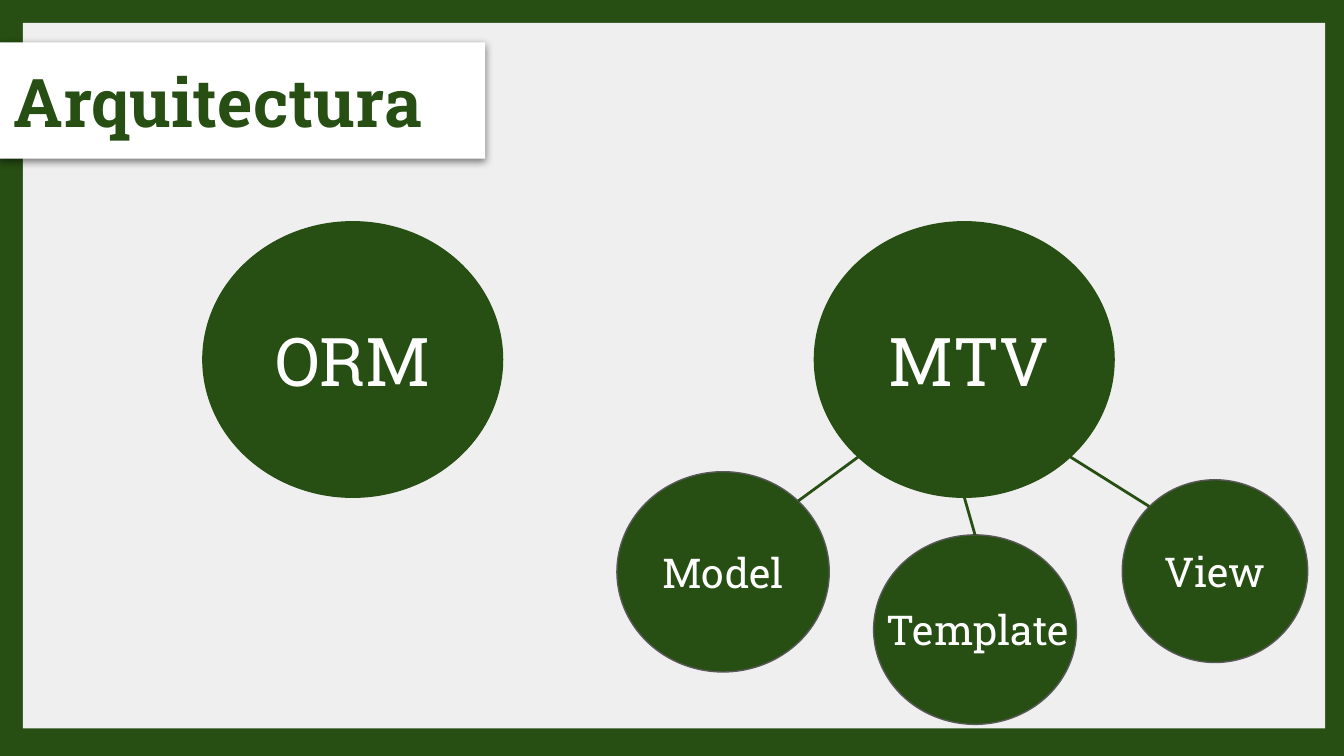
import math
from collections import namedtuple

from lxml import etree
from pptx import Presentation
from pptx import util as u
from pptx.dml.color import RGBColor
from pptx.enum import shapes, text
from pptx.oxml import ns

GREEN = RGBColor(0x27, 0x4E, 0x13)
PALE = RGBColor(0xEF, 0xEF, 0xEF)
WHITE = RGBColor(0xFF, 0xFF, 0xFF)
GREY = RGBColor(0x59, 0x59, 0x59)

SLIDE_WIDTH = u.Inches(10)
SLIDE_HEIGHT = SLIDE_WIDTH * 9 // 16
COLUMN, ROW = SLIDE_WIDTH / 100, SLIDE_HEIGHT / 56.25

Box = namedtuple("Box", "left top width height")

FRAME = dict(word_wrap=True, auto_size=text.MSO_AUTO_SIZE.NONE,
             margin_left=u.Inches(0.1), margin_right=u.Inches(0.1),
             margin_top=u.Inches(0.1), margin_bottom=u.Inches(0.1))
FONT = dict(name="Roboto Slab", bold=False)
CONCEPT = dict(size=u.Pt(36))
PART = dict(size=u.Pt(22))


def apply(target, values):
    for name, value in values.items():
        setattr(target, name, value)


def emu(box):
    return (round(box.left * COLUMN), round(box.top * ROW),
            round(box.width * COLUMN), round(box.height * ROW))


def inside(region, box):
    return Box(region.left + box.left, region.top + box.top, box.width, box.height)


def write(shape, words, font, color=WHITE, align=text.PP_ALIGN.CENTER,
          anchor=text.MSO_ANCHOR.MIDDLE):
    frame = shape.text_frame
    apply(frame, {**FRAME, "vertical_anchor": anchor})
    paragraph = frame.paragraphs[0]
    paragraph.alignment = align
    run = paragraph.add_run()
    run.text = words
    apply(run.font, {**FONT, **font})
    run.font.color.rgb = color


def add_circle(slide, box, outline):
    circle = slide.shapes.add_shape(shapes.MSO_SHAPE.OVAL, *emu(box))
    circle.shadow.inherit = False
    circle.fill.solid()
    circle.fill.fore_color.rgb = GREEN
    circle.line.color.rgb = outline
    circle.line.width = u.Pt(0.75)
    return circle


def rim_point(circle, degrees):
    angle = math.radians(degrees)
    return (round(circle.left + circle.width * (1 + math.cos(angle)) / 2),
            round(circle.top + circle.height * (1 + math.sin(angle)) / 2))


def add_branch(slide, child, child_angle, parent, parent_angle):
    branch = slide.shapes.add_connector(
        shapes.MSO_CONNECTOR.STRAIGHT,
        *rim_point(child, child_angle), *rim_point(parent, parent_angle))
    branch.line.color.rgb = GREEN
    branch.line.width = u.Pt(1.5)
    etree.SubElement(branch._element.spPr, ns.qn("a:effectLst"))


def place_panel(slide, box):
    panel = slide.shapes.add_shape(shapes.MSO_SHAPE.RECTANGLE, *emu(box))
    panel.shadow.inherit = False
    panel.fill.solid()
    panel.fill.fore_color.rgb = PALE
    panel.line.fill.background()
    slide.shapes.title._element.addprevious(panel._element)


def place_title(slide, box):
    title = slide.shapes.title
    apply(title, dict(zip(Box._fields, emu(box))))
    title.fill.solid()
    title.fill.fore_color.rgb = WHITE
    write(title, "Arquitectura", dict(size=u.Pt(36), bold=True), GREEN,
          text.PP_ALIGN.LEFT)
    effects = etree.SubElement(title._element.spPr, ns.qn("a:effectLst"))
    shadow = etree.SubElement(effects, ns.qn("a:outerShdw"), blurRad=str(u.Pt(4.5)),
                              dist=str(u.Pt(1.5)), dir="5400000", algn="bl",
                              rotWithShape="0")
    black = etree.SubElement(shadow, ns.qn("a:srgbClr"), val="000000")
    etree.SubElement(black, ns.qn("a:alpha"), val="50000")


def place_orm(slide, box):
    write(add_circle(slide, box, GREEN), "ORM", CONCEPT)


def place_mtv(slide, box):
    mtv = add_circle(slide, inside(box, Box(14.7, 0, 22.3, 20.5)), GREEN)
    write(mtv, " MTV", CONCEPT, align=text.PP_ALIGN.LEFT)
    model, template, view = [
        add_circle(slide, inside(box, part), GREY)
        for part in (Box(0, 18.6, 15.8, 14.9), Box(19.1, 23.3, 15.1, 14.1),
                     Box(37.6, 19.2, 13.8, 13.6))]
    write(model, "Model", PART)
    write(view, "View", PART)
    label = slide.shapes.add_textbox(*emu(inside(box, Box(19.1, 27.5, 16.7, 4.3))))
    write(label, "Template", PART, align=text.PP_ALIGN.LEFT,
          anchor=text.MSO_ANCHOR.TOP)
    for child, child_angle, parent_angle in (
            (model, -45, 135), (template, -90, 90), (view, -135, 45)):
        add_branch(slide, child, child_angle, mtv, parent_angle)


def main():
    deck = Presentation()
    apply(deck, dict(slide_width=SLIDE_WIDTH, slide_height=SLIDE_HEIGHT))
    slide = deck.slides.add_slide(deck.slide_layouts.get_by_name("Title Only"))
    slide.background.fill.solid()
    slide.background.fill.fore_color.rgb = GREEN
    place_panel(slide, Box(1.7, 1.7, 96.9, 52.5))
    place_title(slide, Box(0, 3.15, 36.1, 8.65))
    place_orm(slide, Box(15.1, 16.5, 22.3, 20.5))
    place_mtv(slide, Box(45.9, 16.5, 51.4, 37.4))
    deck.save("out.pptx")


if __name__ == "__main__":
    main()
